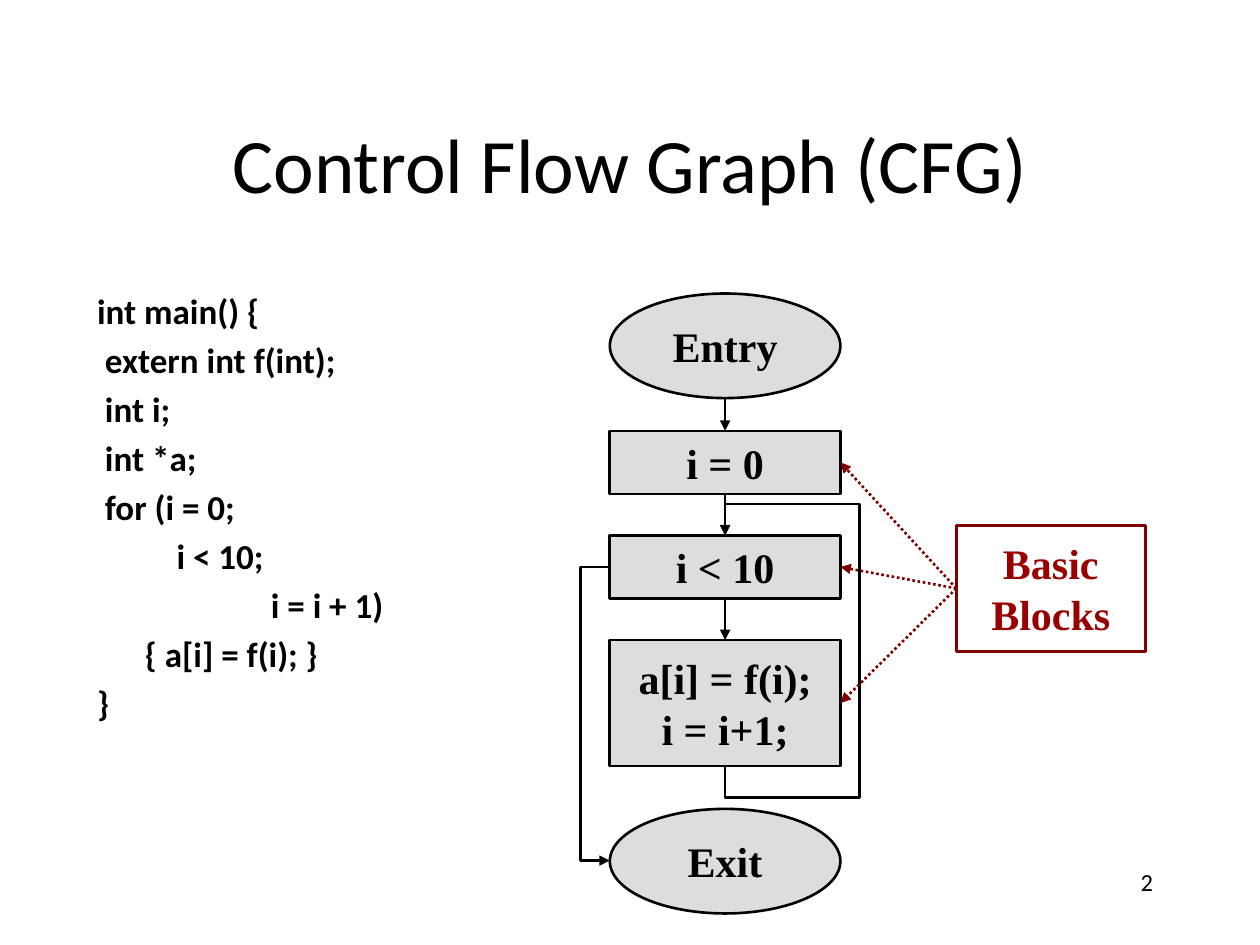
from lxml import etree
from pptx import Presentation
from pptx import util as u
from pptx.dml.color import RGBColor
from pptx.enum import dml, shapes, text
from pptx.oxml.ns import qn
from pptx.util import Inches

COLORS = {"ink": "000000", "block": "DDDDDD", "note": "990000", "note_line": "800000"}
SERIF = "Times New Roman"
SANS = "Calibri"
TOP, LEFT, BOTTOM, RIGHT = range(4)

BLOCK_X, BLOCK_W = 4.84, 1.83
MID_X = BLOCK_X + BLOCK_W / 2

CODE = [
    "int main() {",
    " extern int f(int);",
    " int i;",
    " int *a;",
    " for (i = 0;",
    "\t    i < 10;",
    "\t\ti = i + 1)",
    "\t{ a[i] = f(i); }",
    "}",
]


def rgb(name):
    return RGBColor.from_string(COLORS[name])


def place(sp, x, y, w, h):
    sp.left, sp.top, sp.width, sp.height = map(Inches, (x, y, w, h))


def add_run(p, content, size, font, color="ink", bold=False):
    r = p.add_run()
    r.text = content
    r.font.size = u.Pt(size)
    r.font.name = font
    r.font.bold = bold
    r.font.color.rgb = rgb(color)


def paragraph(tf, index):
    return tf.add_paragraph() if index else tf.paragraphs[0]


def fill_title(sp, content):
    place(sp, 0.75, 0.67, 8.5, 1.25)
    tf = sp.text_frame
    tf.vertical_anchor = text.MSO_ANCHOR.MIDDLE
    p = tf.paragraphs[0]
    p.alignment = text.PP_ALIGN.CENTER
    add_run(p, content, 44, SANS)


def fill_code(sp, lines):
    place(sp, 0.67, 2.25, 4, 4.5)
    tf = sp.text_frame
    tf.auto_size = text.MSO_AUTO_SIZE.NONE
    for i, line in enumerate(lines):
        p = paragraph(tf, i)
        pPr = p._p.get_or_add_pPr()
        pPr.set("marL", str(Inches(0.38)))
        pPr.set("indent", str(Inches(-0.38)))
        pPr.set("defTabSz", str(Inches(1)))
        etree.SubElement(pPr, qn("a:buNone"))
        p.space_before = u.Pt(4 if i else 0)
        add_run(p, line, 20, SANS, bold=True)


def add_page_number(s, number):
    sp = s.shapes.add_textbox(*map(Inches, (7.17, 6.83, 2.08, 0.5)))
    sp.text_frame.word_wrap = True
    p = sp.text_frame.paragraphs[0]
    p.alignment = text.PP_ALIGN.RIGHT
    add_run(p, number, 14, SANS)


def add_node(s, kind, box, lines, fill="block", line="ink", color="ink"):
    sp = s.shapes.add_shape(kind, *map(Inches, box))
    sp.shadow.inherit = False
    if fill:
        sp.fill.solid()
        sp.fill.fore_color.rgb = rgb(fill)
    else:
        sp.fill.background()
    sp.line.color.rgb = rgb(line)
    sp.line.width = u.Pt(1.5)
    tf = sp.text_frame
    tf.word_wrap = False
    tf.vertical_anchor = text.MSO_ANCHOR.MIDDLE
    for i, content in enumerate(lines):
        p = paragraph(tf, i)
        p.alignment = text.PP_ALIGN.CENTER
        add_run(p, content, 24, SERIF, color, bold=True)
    return sp


def style_arrow(sp, color, dash=None):
    sp.line.color.rgb = rgb(color)
    sp.line.width = u.Pt(1.5)
    if dash:
        sp.line.dash_style = dash
    etree.SubElement(sp.line._get_or_add_ln(), qn("a:tailEnd"), type="triangle")


def add_arrow(s, start, end, color="ink", dash=None):
    """Draw a straight arrow; start is a (rectangle, side) pair or an (x, y) point."""
    c = s.shapes.add_connector(shapes.MSO_CONNECTOR.STRAIGHT, 0, 0, 0, 0)
    if hasattr(start[0], "shape_id"):
        c.begin_connect(*start)
    else:
        c.begin_x, c.begin_y = map(Inches, start)
    c.end_connect(*end)
    style_arrow(c, color, dash)
    etree.SubElement(c._element.spPr, qn("a:effectLst"))


def add_bent_arrow(s, points):
    """Draw an arrow that turns at right angles through points."""
    start, *rest = [(Inches(x), Inches(y)) for x, y in points]
    builder = s.shapes.build_freeform(*start)
    builder.add_line_segments(rest, close=False)
    sp = builder.convert_to_shape()
    sp.fill.background()
    sp.shadow.inherit = False
    style_arrow(sp, "ink")


def add_flow_graph(s):
    rect, oval = shapes.MSO_SHAPE.RECTANGLE, shapes.MSO_SHAPE.OVAL
    rows = [
        (oval, 2.33, 0.83, ["Entry"]),
        (rect, 3.42, 0.5, ["i = 0"]),
        (rect, 4.25, 0.5, ["i < 10"]),
        (rect, 5.08, 1, ["a[i] = f(i);", "i = i+1;"]),
        (oval, 6.42, 0.83, ["Exit"]),
    ]
    nodes = [add_node(s, kind, (BLOCK_X, y, BLOCK_W, h), lines)
             for kind, y, h, lines in rows]
    blocks = nodes[1:4]
    init, test, body = blocks

    add_arrow(s, (MID_X, 3.16), (init, TOP))
    add_arrow(s, (init, BOTTOM), (test, TOP))
    add_arrow(s, (test, BOTTOM), (body, TOP))
    add_bent_arrow(s, [(MID_X, 6.08), (MID_X, 6.33), (6.82, 6.33),
                       (6.82, 4), (MID_X, 4), (MID_X, 4.25)])
    add_bent_arrow(s, [(BLOCK_X, 4.5), (4.61, 4.5), (4.61, 6.83), (BLOCK_X, 6.83)])

    note = add_node(s, rect, (7.59, 4.17, 1.5, 1), ["Basic", "Blocks"],
                    fill=None, line="note_line", color="note")
    for block in blocks:
        add_arrow(s, (note, LEFT), (block, RIGHT), "note_line",
                  dml.MSO_LINE.ROUND_DOT)


def main():
    prs = Presentation()
    prs.slide_width, prs.slide_height = Inches(10), Inches(7.5)
    s = prs.slides.add_slide(prs.slide_layouts[1])
    fill_title(s.shapes.title, "Control Flow Graph (CFG)")
    fill_code(s.placeholders[1], CODE)
    add_page_number(s, "2")
    add_flow_graph(s)
    prs.save("out.pptx")


if __name__ == "__main__":
    main()
